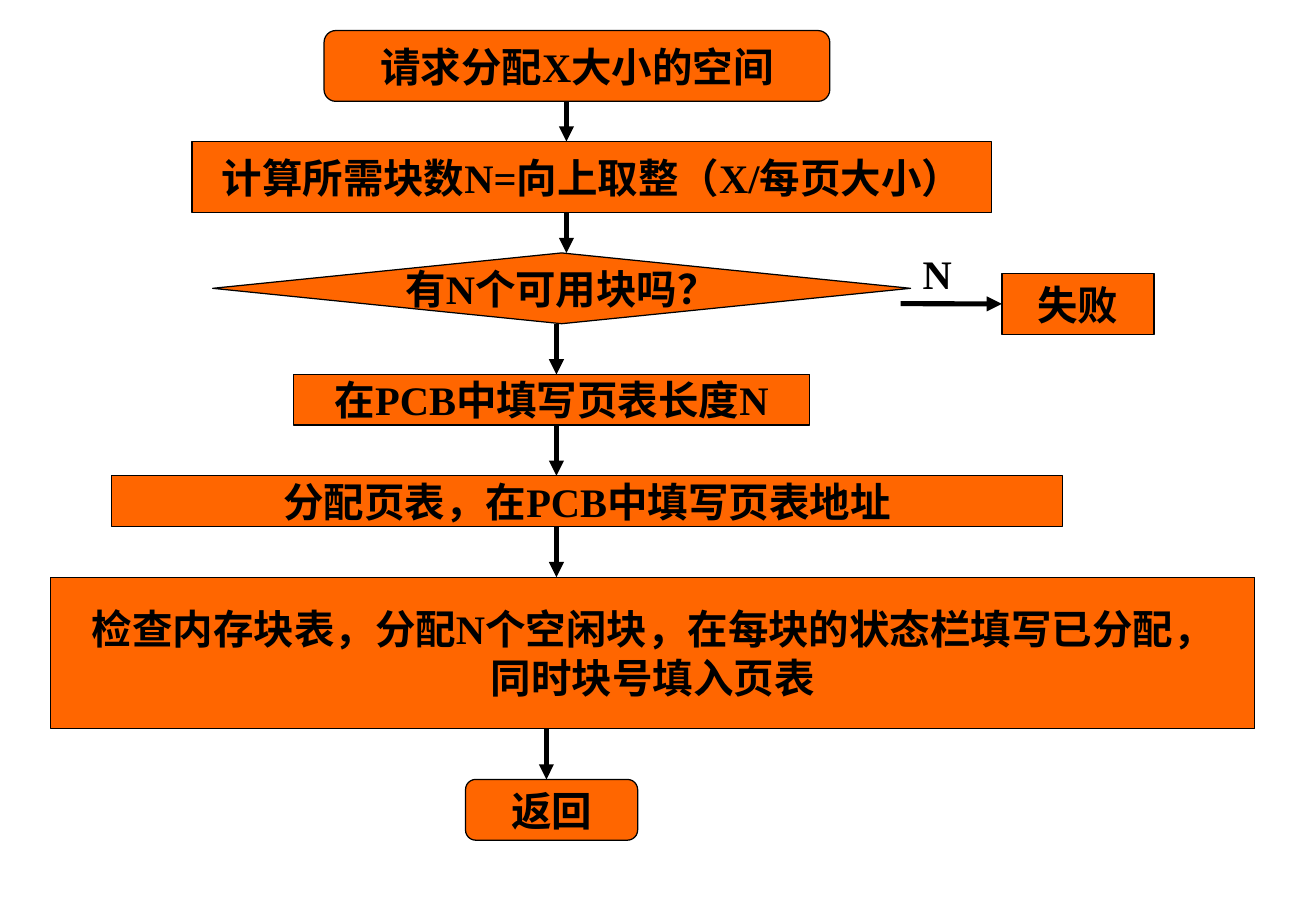
from itertools import pairwise

from lxml import etree
from pptx import Presentation
from pptx.dml.color import RGBColor
from pptx.enum.shapes import MSO_CONNECTOR, MSO_SHAPE
from pptx.enum.text import MSO_ANCHOR, MSO_AUTO_SIZE, PP_ALIGN
from pptx.oxml.ns import qn
from pptx.util import Cm, Pt

ORANGE = RGBColor(0xFF, 0x66, 0x00)
BLACK = RGBColor(0x00, 0x00, 0x00)
FONT = "Times New Roman"
TERMINAL = MSO_SHAPE.FLOWCHART_ALTERNATE_PROCESS
PROCESS = MSO_SHAPE.FLOWCHART_PROCESS
DECISION = MSO_SHAPE.FLOWCHART_DECISION
STRAIGHT = MSO_CONNECTOR.STRAIGHT
CENTER = PP_ALIGN.CENTER
MIDDLE = MSO_ANCHOR.MIDDLE
FIT_SHAPE = MSO_AUTO_SIZE.SHAPE_TO_FIT_TEXT
LEFT_SIDE = 1

# kind, left, top, width, height, x of the arrow that leads in, lines
STEPS = [
    (TERMINAL, 6.78, 0.64, 10.58, 1.48, None, ["请求分配X大小的空间"]),
    (PROCESS, 4.02, 2.96, 16.72, 1.48, 11.85,
     ["计算所需块数N=向上取整（X/每页大小）"]),
    (DECISION, 4.45, 5.29, 14.6, 1.48, 11.85, ["有N个可用块吗？"]),
    (PROCESS, 6.14, 7.83, 10.8, 1.06, 11.64, ["在PCB中填写页表长度N"]),
    (PROCESS, 2.33, 9.95, 19.9, 1.06, 11.64,
     ["分配页表，在PCB中填写页表地址"]),
    (PROCESS, 1.06, 12.07, 25.19, 3.17, 11.64,
     ["检查内存块表，分配N个空闲块，在每块的状态栏填写已分配，",
      "同时块号填入页表"]),
    (TERMINAL, 9.74, 16.3, 3.6, 1.27, 11.43, ["返回"]),
]


def write_line(para, text):
    span = para.add_run()
    span.text = text
    span.font.name = FONT
    span.font.size = Pt(24)
    span.font.bold = True
    span.font.color.rgb = BLACK


def add_box(slide, kind, left, top, width, height, lines):
    box = slide.shapes.add_shape(kind, Cm(left), Cm(top), Cm(width), Cm(height))
    box.shadow.inherit = False
    box.fill.solid()
    box.fill.fore_color.rgb = ORANGE
    box.line.color.rgb = BLACK
    box.line.width = Pt(0.75)
    frame = box.text_frame
    frame.word_wrap = False
    frame.vertical_anchor = MIDDLE
    for index, line in enumerate(lines):
        para = frame.add_paragraph() if index else frame.paragraphs[0]
        para.alignment = CENTER
        write_line(para, line)
    return box


def add_arrow(slide, x1, y1, x2, y2):
    arrow = slide.shapes.add_connector(STRAIGHT, Cm(x1), Cm(y1), Cm(x2), Cm(y2))
    arrow.line.color.rgb = BLACK
    arrow.line.width = Pt(3)
    etree.SubElement(arrow.line._get_or_add_ln(), qn("a:tailEnd"), type="triangle")
    etree.SubElement(arrow._element.spPr, qn("a:effectLst"))
    return arrow


def add_label(slide, left, top, width, height, text):
    label = slide.shapes.add_textbox(Cm(left), Cm(top), Cm(width), Cm(height))
    label.text_frame.word_wrap = True
    label.text_frame.auto_size = FIT_SHAPE
    write_line(label.text_frame.paragraphs[0], text)


def add_main_flow(slide):
    for kind, left, top, width, height, _, lines in STEPS:
        add_box(slide, kind, left, top, width, height, lines)
    for upper, lower in pairwise(STEPS):
        upper_bottom = upper[2] + upper[4]
        arrow_x, lower_top = lower[5], lower[2]
        add_arrow(slide, arrow_x, upper_bottom, arrow_x, lower_top)


def add_failure_branch(slide):
    failure = add_box(slide, PROCESS, 20.96, 5.72, 3.18, 1.27, ["失败"])
    arrow = add_arrow(slide, 18.84, 6.35, 20.96, 6.35)
    arrow.end_connect(failure, LEFT_SIDE)
    add_label(slide, 19.05, 5.08, 1.9, 1.27, "N")


def main():
    deck = Presentation()
    deck.slide_width = Cm(27.53)
    deck.slide_height = Cm(19.05)
    slide = deck.slides.add_slide(deck.slide_layouts.get_by_name("Blank"))
    add_main_flow(slide)
    add_failure_branch(slide)
    deck.save("out.pptx")


if __name__ == "__main__":
    main()
